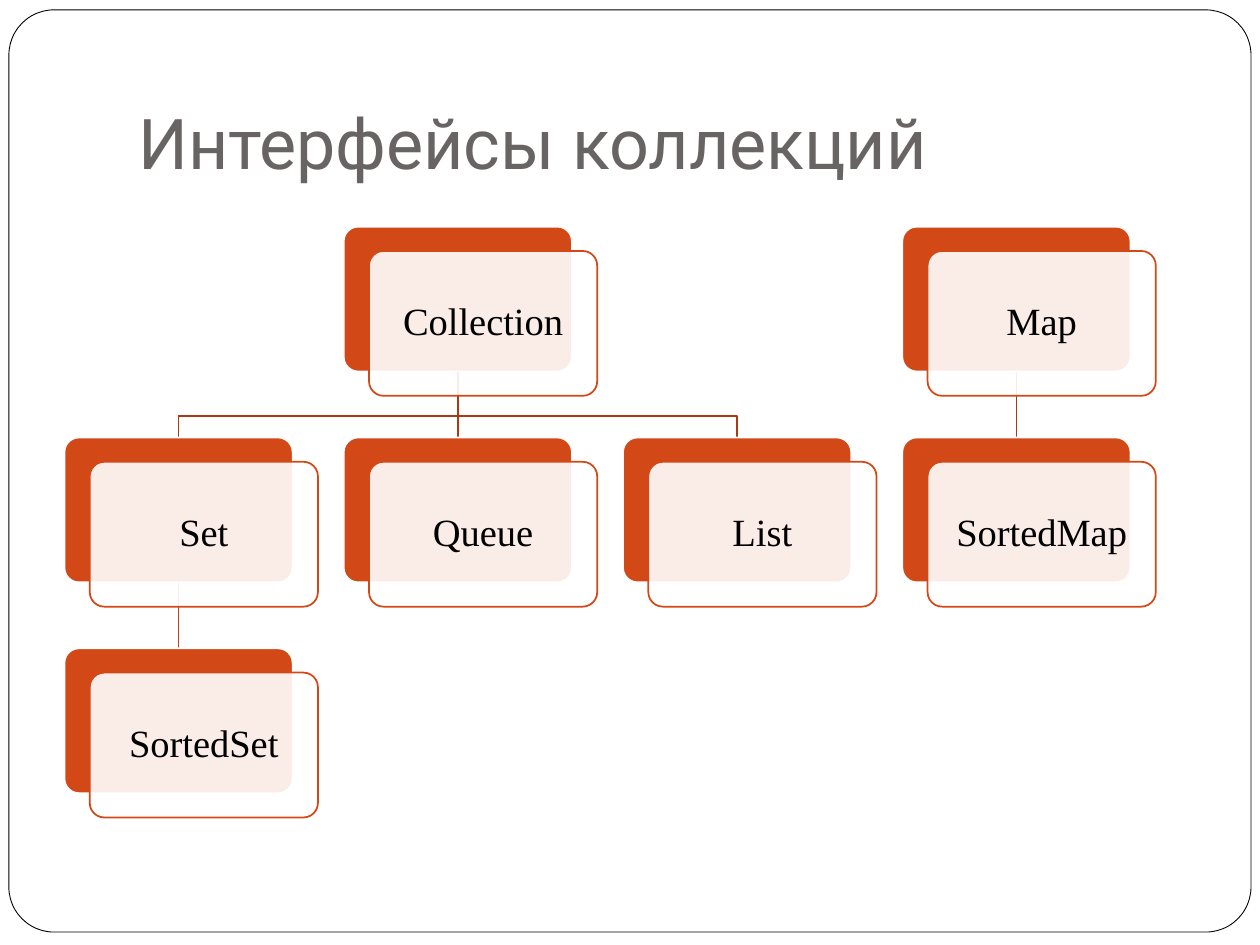
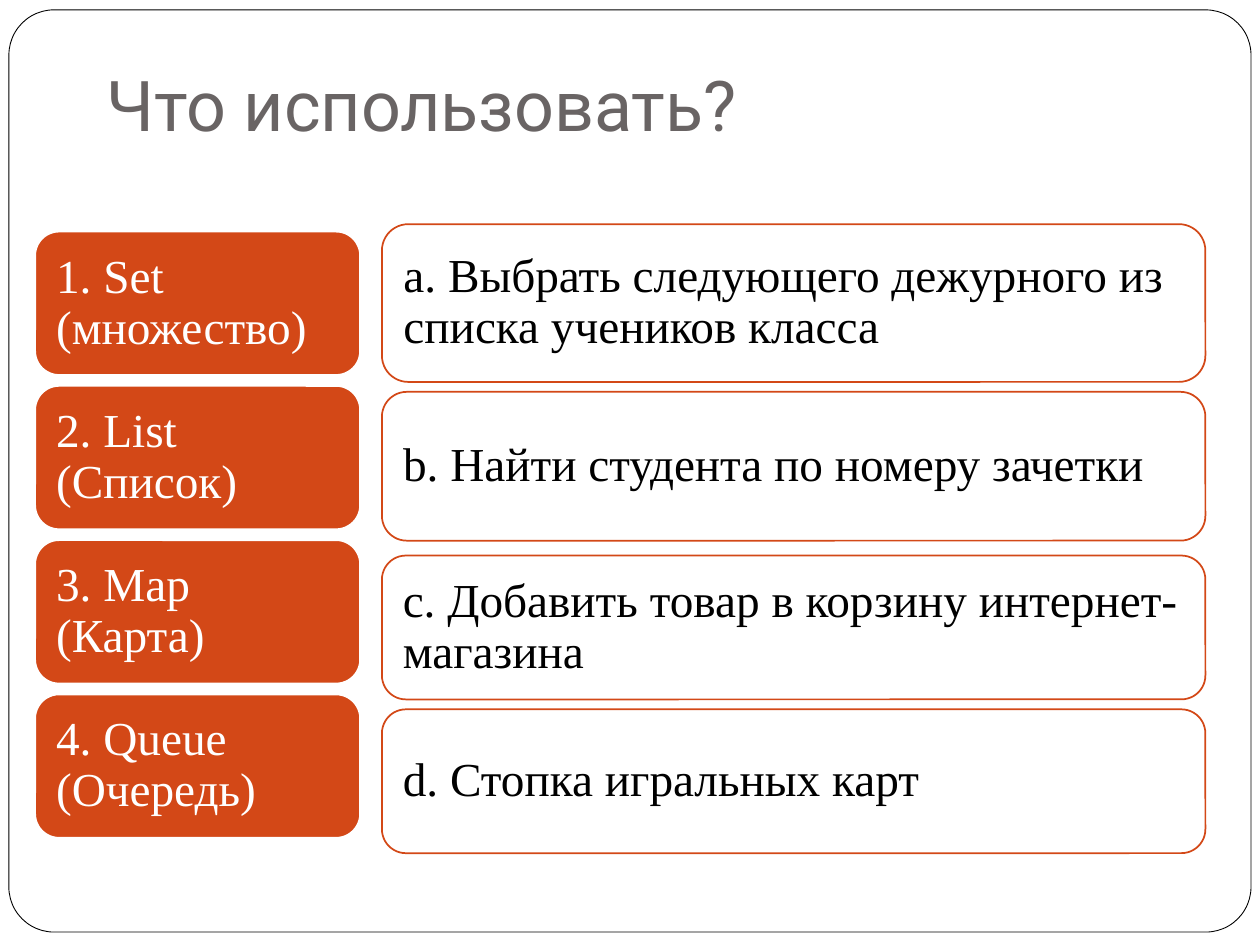
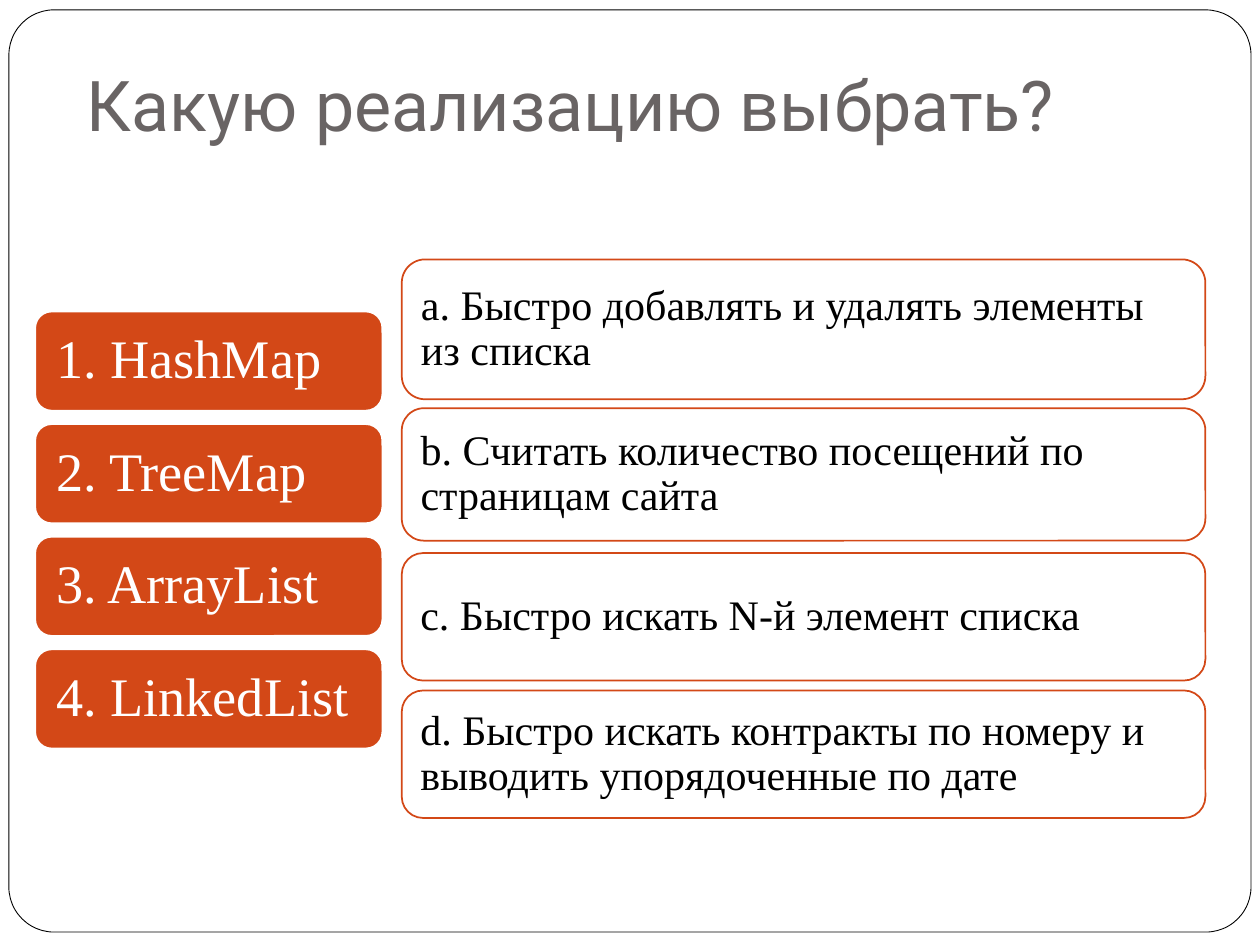
from lxml.etree import SubElement
from pptx import Presentation
from pptx.dml.color import RGBColor
from pptx.enum.shapes import MSO_CONNECTOR, MSO_SHAPE
from pptx.enum.text import MSO_ANCHOR, PP_ALIGN
from pptx.oxml.ns import qn
from pptx.util import Cm, Pt

WHITE = RGBColor(0xFF, 0xFF, 0xFF)
BLACK = RGBColor(0x00, 0x00, 0x00)
TITLE_GRAY = RGBColor(0x69, 0x64, 0x64)
ORANGE = RGBColor(0xD3, 0x48, 0x17)
BRANCH = RGBColor(0xA9, 0x3A, 0x12)
SUBBRANCH = RGBColor(0xBF, 0x41, 0x15)
TITLE_FONT = "Roboto"
BODY_FONT = "Times New Roman"
CARD_CORNER = 0.1
PANEL_CORNER = 0.1667


def add_box(slide, left, top, width, height, corner, fill, line, line_width=1):
    """Rounded rectangle, lengths in centimetres."""
    shape = slide.shapes.add_shape(MSO_SHAPE.ROUNDED_RECTANGLE,
                                   Cm(left), Cm(top), Cm(width), Cm(height))
    shape.adjustments[0] = corner
    shape.shadow.inherit = False
    shape.fill.solid()
    shape.fill.fore_color.rgb = fill
    shape.line.color.rgb = line
    shape.line.width = Pt(line_width)
    return shape


def write_text(shape, text, size, color, margin, align=PP_ALIGN.LEFT):
    """Vertically centred body text with equal margins."""
    frame = shape.text_frame
    frame.word_wrap = True
    frame.vertical_anchor = MSO_ANCHOR.MIDDLE
    frame.margin_left = frame.margin_right = Cm(margin)
    frame.margin_top = frame.margin_bottom = Cm(margin)
    paragraph = frame.paragraphs[0]
    paragraph.text = text
    paragraph.alignment = align
    paragraph.line_spacing = 0.9
    paragraph.font.name = BODY_FONT
    paragraph.font.size = Pt(size)
    paragraph.font.color.rgb = color


presentation = Presentation()
presentation.slide_width = Cm(25.4)
presentation.slide_height = Cm(19.05)

# Frame and title of every slide: text, left, top
titles = [
    ("Интерфейсы коллекций", 2.54, 0.76),
    ("Что использовать?", 1.9, 0),
    ("Какую реализацию выбрать?", 1.5, 0),
]
slides = []
for text, left, top in titles:
    slide = presentation.slides.add_slide(presentation.slide_layouts[6])
    slides.append(slide)
    add_box(slide, 0.18, 0.2, 25.04, 18.59, 0.049, WHITE, BLACK, 0.5)
    title = slide.shapes.add_textbox(Cm(left), Cm(top), Cm(21.59), Cm(3.18))
    frame = title.text_frame
    frame.word_wrap = True
    frame.vertical_anchor = MSO_ANCHOR.BOTTOM
    frame.margin_left = frame.margin_right = frame.margin_bottom = Cm(0.25)
    frame.margin_top = Cm(0.13)
    paragraph = frame.paragraphs[0]
    paragraph.text = text
    paragraph.font.name = TITLE_FONT
    paragraph.font.size = Pt(40)
    paragraph.font.color.rgb = TITLE_GRAY

# Slide 1: interface tree on a grid of columns and rows
slide = slides[0]
card_width, card_height = 4.6, 2.92
column_lefts = [1.3 + 5.63 * column for column in range(4)]
row_tops = [4.57 + 4.25 * row for row in range(3)]

# Branches: parent column, child column, parent row, colour
branches = [
    (3, 3, 0, BRANCH),
    (1, 2, 0, BRANCH),
    (1, 1, 0, BRANCH),
    (0, 0, 1, SUBBRANCH),
    (1, 0, 0, BRANCH),
]
for parent, child, row, color in branches:
    start_x = Cm(column_lefts[parent] + card_width / 2)
    end_x = Cm(column_lefts[child] + card_width / 2)
    start_y = Cm(row_tops[row] + card_height)
    bend_y = start_y + Cm(0.9)
    end_y = Cm(row_tops[row + 1])
    if parent == child:
        branch = slide.shapes.add_connector(MSO_CONNECTOR.STRAIGHT,
                                            start_x, start_y, end_x, end_y)
        SubElement(branch._element.spPr, qn("a:effectLst"))
    else:
        builder = slide.shapes.build_freeform(start_x, start_y)
        builder.add_line_segments(
            [(start_x, bend_y), (end_x, bend_y), (end_x, end_y)], close=False)
        branch = builder.convert_to_shape()
        branch.fill.background()
        branch.shadow.inherit = False
    branch.line.color.rgb = color
    branch.line.width = Pt(1)

# Cards: name, column, row
cards = [
    ("Collection", 1, 0), ("Set", 0, 1), ("SortedSet", 0, 2), ("Queue", 1, 1),
    ("List", 2, 1), ("Map", 3, 0), ("SortedMap", 3, 1),
]
for name, column, row in cards:
    left, top = column_lefts[column], row_tops[row]
    add_box(slide, left, top, card_width, card_height, CARD_CORNER, ORANGE, WHITE)
    card = add_box(slide, left + 0.51, top + 0.49, card_width, card_height,
                   CARD_CORNER, WHITE, ORANGE)
    fill_color = card._element.spPr.find(qn("a:solidFill"))[0]
    SubElement(fill_color, qn("a:alpha"), val="90000")
    write_text(card, name, 22, BLACK, 0.23, PP_ALIGN.CENTER)

# Slides 2 and 3: terms on the left, tasks (text, top, height) on the right
exercises = [
    {
        "slide": slides[1],
        "terms": ["1. Set (множество)", "2. List (Список)",
                  "3. Map (Карта)", "4. Queue (Очередь)"],
        "term_top": 4.67, "term_step": 3.11, "term_size": (6.55, 2.89),
        "term_font": 27, "term_margin": 0.28,
        "tasks": [
            ("a. Выбрать следующего дежурного из списка учеников класса", 4.52, 3.18),
            ("b. Найти студента по номеру зачетки", 7.9, 3.0),
            ("c. Добавить товар в корзину интернет-магазина", 11.2, 2.9),
            ("d. Стопка игральных карт", 14.3, 2.9),
        ],
        "task_left": 7.7, "task_width": 16.6,
        "task_font": 27, "task_margin": 0.28,
    },
    {
        "slide": slides[2],
        "terms": ["1. HashMap", "2. TreeMap", "3. ArrayList", "4. LinkedList"],
        "term_top": 6.28, "term_step": 2.27, "term_size": (7.0, 2.0),
        "term_font": 31, "term_margin": 0.33,
        "tasks": [
            ("a. Быстро добавлять и удалять элементы из списка", 5.23, 2.82),
            ("b. Считать количество посещений по страницам сайта", 8.23, 2.67),
            ("c. Быстро искать N-й элемент списка", 11.15, 2.57),
            ("d. Быстро искать контракты по номеру и выводить упорядоченные по дате",
             13.92, 2.57),
        ],
        "task_left": 8.1, "task_width": 16.2,
        "task_font": 24, "task_margin": 0.25,
    },
]
for exercise in exercises:
    slide = exercise["slide"]
    for index, text in enumerate(exercise["terms"]):
        top = exercise["term_top"] + exercise["term_step"] * index
        term = add_box(slide, 0.71, top, *exercise["term_size"],
                       PANEL_CORNER, ORANGE, WHITE)
        write_text(term, text, exercise["term_font"], WHITE, exercise["term_margin"])
    for text, top, height in exercise["tasks"]:
        task = add_box(slide, exercise["task_left"], top, exercise["task_width"],
                       height, PANEL_CORNER, WHITE, ORANGE)
        write_text(task, text, exercise["task_font"], BLACK, exercise["task_margin"])

presentation.save("out.pptx")
